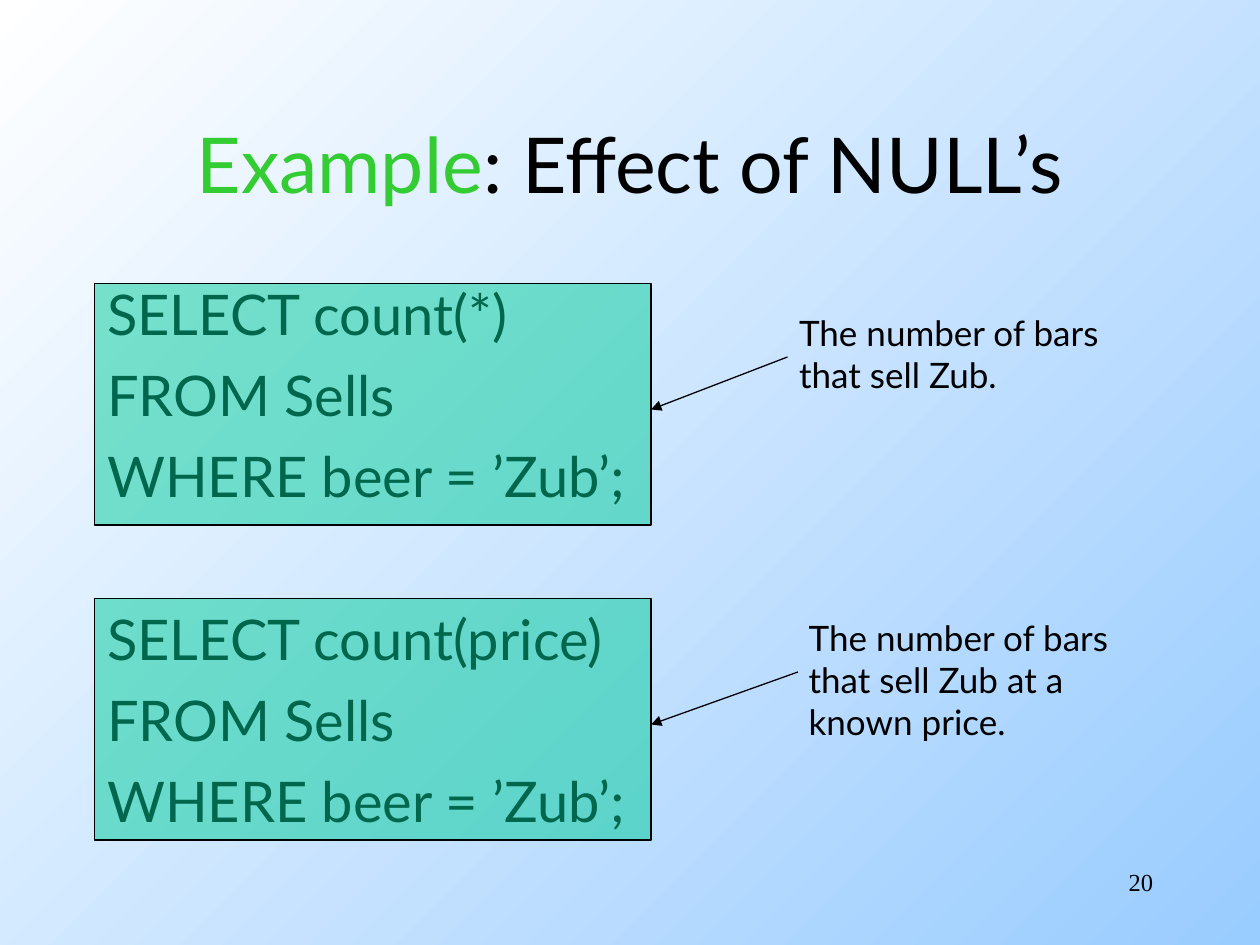
from dataclasses import dataclass

import lxml.etree
import pptx
import pptx.dml.color
import pptx.enum.shapes
import pptx.enum.text
import pptx.oxml.ns
import pptx.util

Pt = pptx.util.Pt
qn = pptx.oxml.ns.qn
ALIGN = pptx.enum.text.PP_ALIGN
BLACK, GREEN, TEAL = "000000", "33CC33", "00CC99"
LEFT = 54
BOX_WIDTH, BOX_HEIGHT = 318, 138
ARROW_DROP = 30


@dataclass
class Query:
    lines: list[str]
    space_before: float
    box_top: float
    note: list[str]
    note_left: float
    note_top: float
    note_height: float
    arrow_left: float


QUERIES = [
    Query(["SELECT count(*)", "FROM Sells", "WHERE beer = ’Zub’;"], 8, 162,
          ["The number of bars", "that sell Zub."], 449.5, 174.5, 55, 450),
    Query(["SELECT count(price)", "FROM Sells", "WHERE beer = ’Zub’;"], 54.5, 342,
          ["The number of bars", "that sell Zub at a", "known price."], 455, 348.5, 79, 456),
]


def color(value: str) -> pptx.dml.color.RGBColor:
    return pptx.dml.color.RGBColor.from_string(value)


def place(shape, left: float, top: float, width: float, height: float) -> None:
    shape.left, shape.top, shape.width, shape.height = map(Pt, (left, top, width, height))


def style(paragraph, size: float, font: str = "Lato", align=ALIGN.LEFT) -> None:
    paragraph.alignment = align
    paragraph.font.size = Pt(size)
    paragraph.font.name = font
    paragraph.font.color.rgb = color(BLACK)


def paint_background(slide) -> None:
    fill = slide.background.fill
    fill.gradient()
    fill.gradient_angle = 315
    for stop, value in zip(fill.gradient_stops, ("FFFFFF", "99CCFF")):
        stop.color.rgb = color(value)


def fill_title(title) -> None:
    place(title, LEFT, 48, 612, 90)
    title.text_frame.auto_size = pptx.enum.text.MSO_AUTO_SIZE.NONE
    paragraph = title.text_frame.paragraphs[0]
    style(paragraph, 44, align=ALIGN.CENTER)
    for text, value in (("Example", GREEN), (": Effect of NULL’s", BLACK)):
        run = paragraph.add_run()
        run.text = text
        run.font.color.rgb = color(value)


def fill_body(body) -> None:
    place(body, LEFT, 156, 612, 324)
    frame = body.text_frame
    frame.auto_size = pptx.enum.text.MSO_AUTO_SIZE.NONE
    frame.text = "\n".join(line for query in QUERIES for line in query.lines)
    for paragraph in frame.paragraphs:
        style(paragraph, 32)
        paragraph.space_before = Pt(8)
        properties = paragraph._p.get_or_add_pPr()
        properties.set("marL", str(Pt(27)))
        properties.set("indent", str(-Pt(27)))
        properties.insert_element_before(
            properties.makeelement(qn("a:buNone"), {}),
            "a:tabLst", "a:defRPr", "a:extLst")
    start = 0
    for query in QUERIES:
        frame.paragraphs[start].space_before = Pt(query.space_before)
        start += len(query.lines)


def add_text(slide, lines: list[str], left: float, top: float, width: float,
             height: float, size: float, **options) -> None:
    box = slide.shapes.add_textbox(*map(Pt, (left, top, width, height)))
    box.text_frame.word_wrap = True
    box.text_frame.text = "\n".join(lines)
    for paragraph in box.text_frame.paragraphs:
        style(paragraph, size, **options)


def add_highlight(slide, top: float) -> None:
    """Lay a half-transparent box over one query."""
    box = slide.shapes.add_shape(pptx.enum.shapes.MSO_SHAPE.RECTANGLE,
                                 *map(Pt, (LEFT, top, BOX_WIDTH, BOX_HEIGHT)))
    box.shadow.inherit = False
    box.fill.solid()
    box.fill.fore_color.rgb = color(TEAL)
    fill_color = box._element.spPr.find(qn("a:solidFill"))[0]
    lxml.etree.SubElement(fill_color, qn("a:alpha"), val="50000")
    box.line.color.rgb = color(BLACK)
    box.line.width = Pt(0.75)


def add_arrow(slide, query: Query) -> None:
    start = query.box_top + 42
    arrow = slide.shapes.add_connector(
        pptx.enum.shapes.MSO_CONNECTOR.STRAIGHT,
        *map(Pt, (query.arrow_left, start, LEFT + BOX_WIDTH, start + ARROW_DROP)))
    arrow.line.color.rgb = color(BLACK)
    arrow.line.width = Pt(0.75)
    lxml.etree.SubElement(arrow.line._get_or_add_ln(), qn("a:tailEnd"), type="triangle")
    lxml.etree.SubElement(arrow._element.spPr, qn("a:effectLst"))


def main() -> None:
    presentation = pptx.Presentation()
    presentation.slide_width, presentation.slide_height = Pt(720), Pt(540)
    slide = presentation.slides.add_slide(presentation.slide_layouts[1])
    paint_background(slide)
    fill_title(slide.shapes.title)
    fill_body(slide.placeholders[1])
    for query in QUERIES:
        add_highlight(slide, query.box_top)
        add_text(slide, query.note, query.note_left, query.note_top, 201,
                 query.note_height, 20)
        add_arrow(slide, query)
    add_text(slide, ["20"], 516, 492, 150, 36, 14, font="Times New Roman", align=ALIGN.RIGHT)
    presentation.save("out.pptx")


if __name__ == "__main__":
    main()
